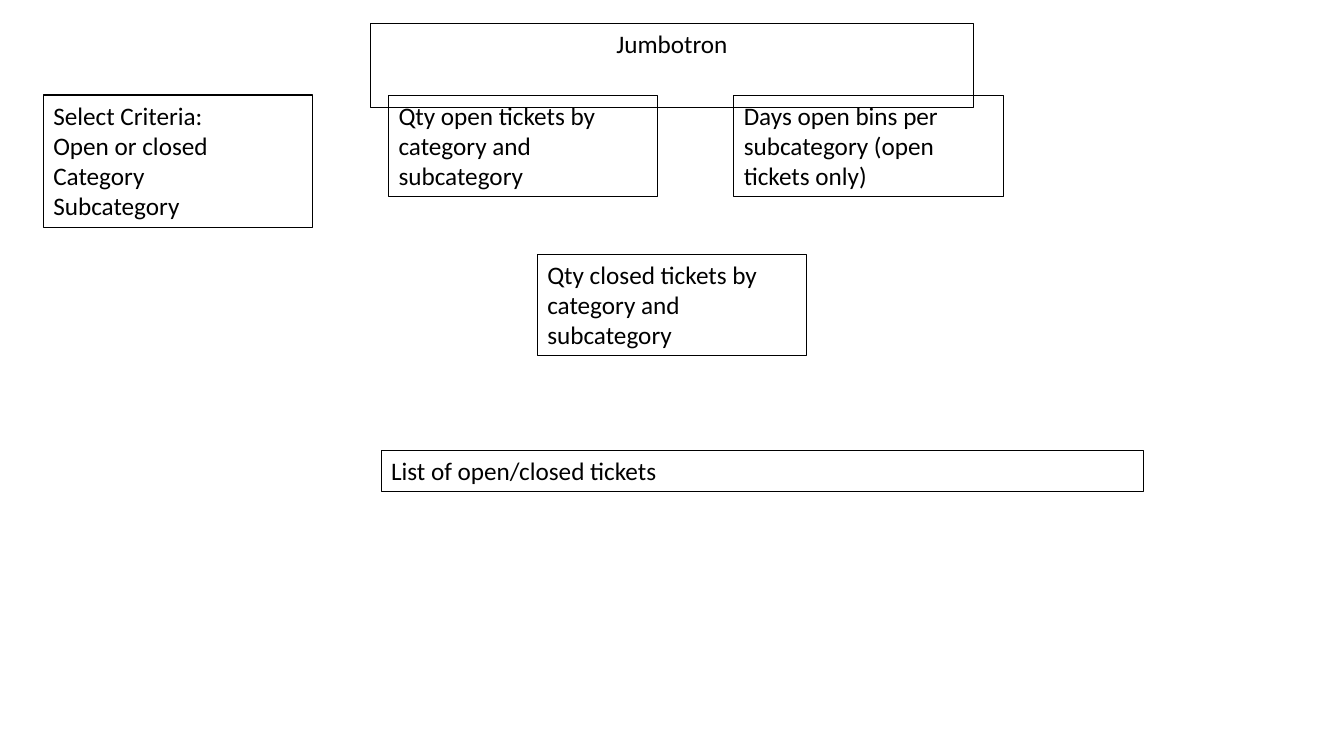
from pptx import Presentation
from pptx.dml.color import RGBColor
from pptx.enum.shapes import MSO_SHAPE
from pptx.enum.text import MSO_ANCHOR, MSO_AUTO_SIZE, PP_ALIGN
from pptx.util import Pt

HEADING = "Jumbotron"
TOP_PANELS = [
    (["Select Criteria:", "Open or closed", "Category", "Subcategory"], 4),
    (["Qty open tickets by category and subcategory"], 3),
    (["Days open bins per subcategory (open tickets only)"], 3),
]
CLOSED_PANEL = ["Qty closed tickets by category and subcategory"]
TICKET_LIST = ["List of open/closed tickets"]

BLACK = RGBColor(0, 0, 0)
SLIDE_W, SLIDE_H = 960, 540
PANEL_W, PANEL_PITCH = 192.3, 246.6
ROW_LEFT, ROW_TOP = 31, 67.9
HEADING_W = 430.6


def box_height(lines):
    return 7.3 + 21.8 * lines


def write(box, paragraphs, *, align=PP_ALIGN.LEFT, size=18, font="Calibri", color=BLACK):
    frame = box.text_frame
    frame.word_wrap = True
    frame.vertical_anchor = MSO_ANCHOR.TOP
    frame.text = "\n".join(paragraphs)
    frame.auto_size = MSO_AUTO_SIZE.SHAPE_TO_FIT_TEXT
    for paragraph in frame.paragraphs:
        paragraph.alignment = align
        paragraph.font.size = Pt(size)
        paragraph.font.name = font
        paragraph.font.color.rgb = color


def outline(box):
    box.fill.background()
    box.line.color.rgb = BLACK
    box.line.width = Pt(0.75)


def add_panel(slide, paragraphs, left, top, width, lines):
    panel = slide.shapes.add_shape(
        MSO_SHAPE.RECTANGLE, Pt(left), Pt(top), Pt(width), Pt(box_height(lines))
    )
    panel.shadow.inherit = False
    outline(panel)
    write(panel, paragraphs)


def main():
    deck = Presentation()
    deck.slide_width, deck.slide_height = Pt(SLIDE_W), Pt(SLIDE_H)
    slide = deck.slides.add_slide(deck.slide_layouts[5])

    heading = slide.shapes.title
    heading.left, heading.top = Pt((SLIDE_W - HEADING_W) / 2), Pt(16.6)
    heading.width, heading.height = Pt(HEADING_W), Pt(box_height(1))
    outline(heading)
    write(heading, [HEADING], align=PP_ALIGN.CENTER)

    for column, (paragraphs, lines) in enumerate(TOP_PANELS):
        add_panel(slide, paragraphs, ROW_LEFT + column * PANEL_PITCH, ROW_TOP, PANEL_W, lines)

    add_panel(slide, CLOSED_PANEL, (SLIDE_W - PANEL_W) / 2, 181.6, PANEL_W, 3)
    add_panel(slide, TICKET_LIST, 272.2, 321.8, 544.5, 1)

    deck.save("out.pptx")


if __name__ == "__main__":
    main()
